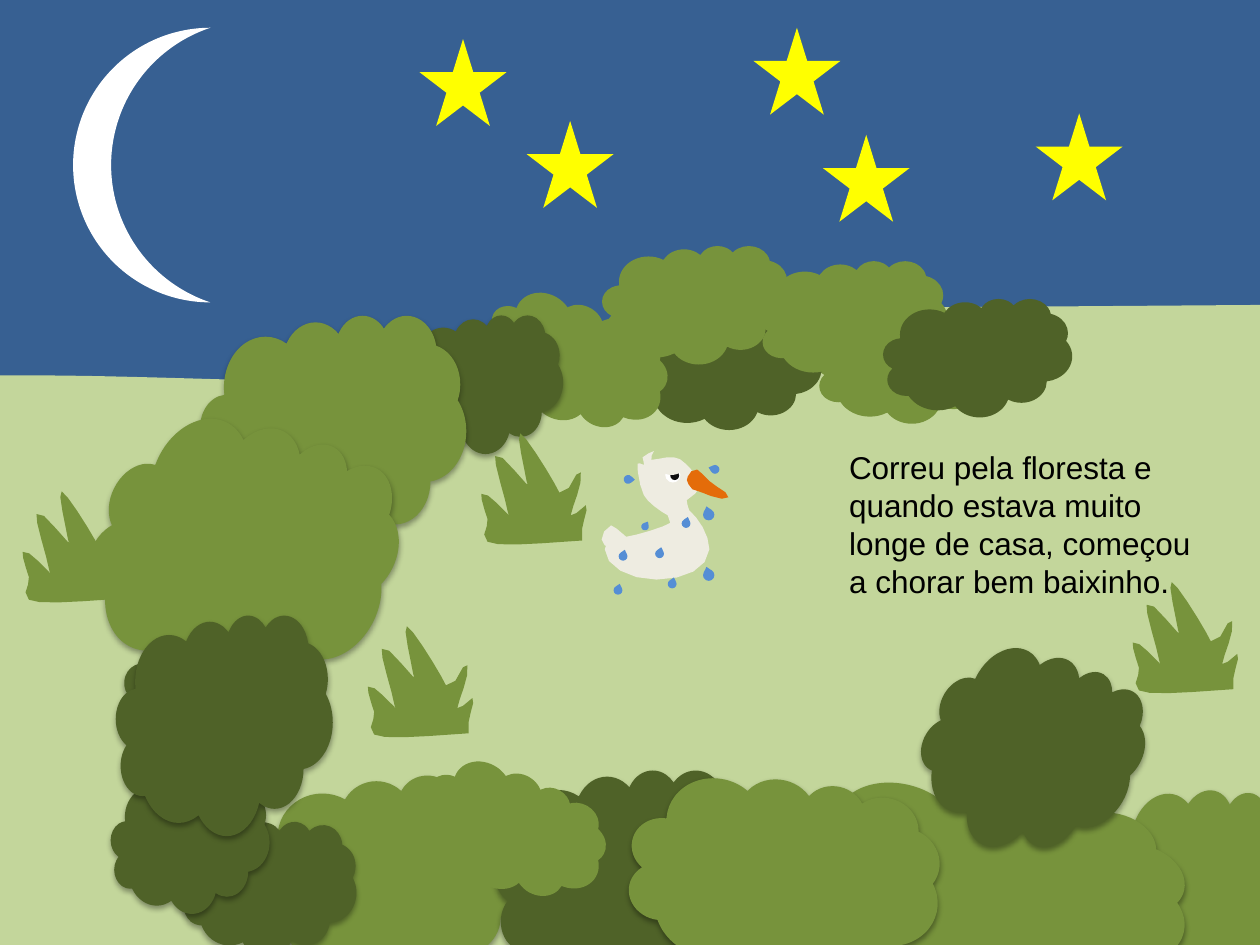
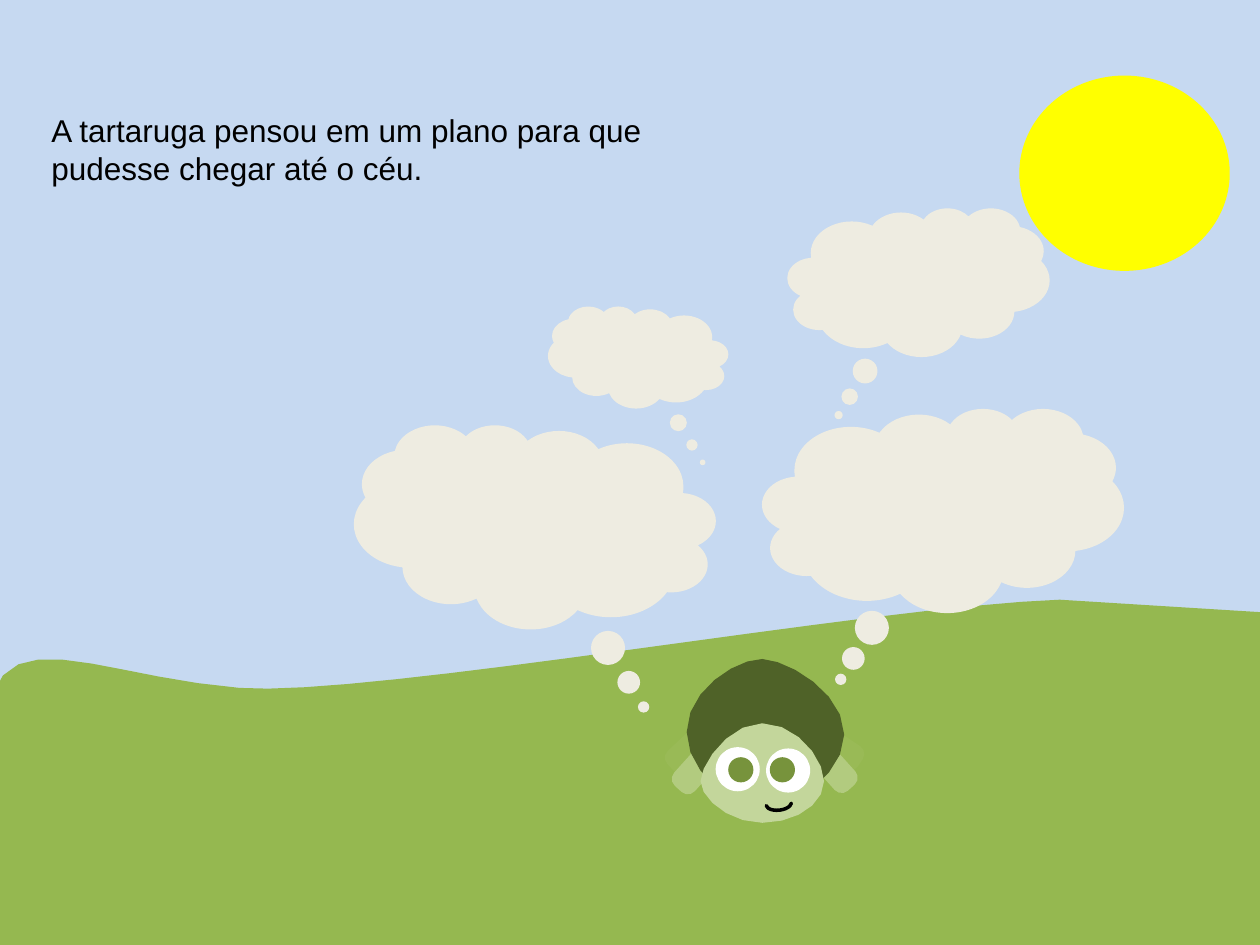
from dataclasses import dataclass
from math import dist, sqrt

from lxml.etree import SubElement
from pptx import Presentation
from pptx.dml.color import RGBColor
from pptx.enum.shapes import MSO_SHAPE
from pptx.enum.text import MSO_AUTO_SIZE
from pptx.oxml.ns import qn
from pptx.util import Emu, Inches, Pt

# Grid shared by the slides: 100 columns by 75 rows
SLIDE_WIDTH, SLIDE_HEIGHT = Inches(10), Inches(7.5)
COLUMN, ROW = SLIDE_WIDTH / 100, SLIDE_HEIGHT / 75
FONT_NAME, FONT_SIZE = "Arial", Pt(18)

# Colours
NIGHT = RGBColor(0x37, 0x60, 0x92)
DAY = RGBColor(0xC6, 0xD9, 0xF1)
YELLOW = RGBColor(0xFF, 0xFF, 0x00)
WHITE = RGBColor(0xFF, 0xFF, 0xFF)
BLACK = RGBColor(0x00, 0x00, 0x00)
PUPIL = RGBColor(0x0D, 0x0D, 0x0D)
PALE_GREEN = RGBColor(0xC3, 0xD6, 0x9B)
LEAF = RGBColor(0x77, 0x93, 0x3C)
DARK_LEAF = RGBColor(0x4F, 0x62, 0x28)
HILL = RGBColor(0x95, 0xB8, 0x50)
BACK_FOOT = RGBColor(0x99, 0xBA, 0x56)
FRONT_FOOT = RGBColor(0xB2, 0xCB, 0x7F)
CREAM = RGBColor(0xEE, 0xEC, 0xE1)
ORANGE = RGBColor(0xE4, 0x6C, 0x0A)
TEAR_BLUE = RGBColor(0x55, 0x8E, 0xD5)
MOUTH_BLUE = RGBColor(0x4F, 0x81, 0xBD)


@dataclass(frozen=True)
class Piece:
    """A preset shape placed on the grid."""
    preset: MSO_SHAPE
    left: float
    top: float
    width: float
    height: float
    color: RGBColor
    rotation: float = 0
    adjustments: tuple = ()
    flipped: bool = False
    shadowed: bool = False


@dataclass(frozen=True)
class Outline:
    """A closed path: pairs are line ends, sextuples are cubic curves."""
    start: tuple
    segments: tuple
    color: RGBColor
    rotation: float = 0


@dataclass(frozen=True)
class Story:
    left: float
    top: float
    width: float
    height: float
    text: str


def paint(shape, color: RGBColor, rotation: float) -> None:
    shape.fill.solid()
    shape.fill.fore_color.rgb = color
    shape.line.fill.background()
    shape.shadow.inherit = False
    shape.rotation = rotation


def add_soft_shadow(shape) -> None:
    effects = shape._element.spPr.find(qn("a:effectLst"))
    shadow = SubElement(effects, qn("a:outerShdw"), blurRad="40000", dist="23000",
                        dir="5400000", rotWithShape="0")
    color = SubElement(shadow, qn("a:srgbClr"), val=str(BLACK))
    SubElement(color, qn("a:alpha"), val="35000")


def draw_piece(shapes, piece: Piece):
    shape = shapes.add_shape(piece.preset, Emu(round(piece.left * COLUMN)),
                             Emu(round(piece.top * ROW)),
                             Emu(round(piece.width * COLUMN)),
                             Emu(round(piece.height * ROW)))
    paint(shape, piece.color, piece.rotation)
    for index, value in enumerate(piece.adjustments):
        shape.adjustments[index] = value
    if piece.flipped:
        shape._element.spPr.xfrm.set("flipH", "1")
    if piece.shadowed:
        add_soft_shadow(shape)
    return shape


def outline_points(outline: Outline) -> list[tuple[float, float]]:
    points = [outline.start]
    for segment in outline.segments:
        if len(segment) == 2:
            points.append(segment)
            continue
        controls = (*points[-1], *segment)
        # Longer curves get more steps
        steps = max(2, round(2 * sqrt(dist(points[-1], segment[4:]))))
        for step in range(1, steps + 1):
            t = step / steps
            weights = ((1 - t) ** 3, 3 * t * (1 - t) ** 2, 3 * t * t * (1 - t), t ** 3)
            points.append(tuple(sum(weight * value for weight, value
                                    in zip(weights, controls[axis::2]))
                                for axis in (0, 1)))
    return points


def draw_outline(shapes, outline: Outline, shift_x: float = 0, shift_y: float = 0):
    points = [((x + shift_x) * COLUMN, (y + shift_y) * ROW)
              for x, y in outline_points(outline)]
    builder = shapes.build_freeform(*points[0])
    builder.add_line_segments(points[1:], close=True)
    shape = builder.convert_to_shape()
    paint(shape, outline.color, outline.rotation)
    return shape


def draw_story(slide, story: Story) -> None:
    box = slide.shapes.add_textbox(Emu(round(story.left * COLUMN)),
                                   Emu(round(story.top * ROW)),
                                   Emu(round(story.width * COLUMN)),
                                   Emu(round(story.height * ROW)))
    frame = box.text_frame
    frame.word_wrap = True
    frame.auto_size = MSO_AUTO_SIZE.SHAPE_TO_FIT_TEXT
    frame.text = story.text
    font = frame.paragraphs[0].runs[0].font
    font.name, font.size, font.color.rgb = FONT_NAME, FONT_SIZE, BLACK


def add_scene(presentation, sky: RGBColor):
    slide = presentation.slides.add_slide(presentation.slide_layouts[6])
    slide.background.fill.solid()
    slide.background.fill.fore_color.rgb = sky
    return slide


# Night scene: sky and meadow
STAR_SIZE = 6.9
STAR_CORNERS = ((33.3, 3.1), (41.8, 9.6), (59.8, 2.2), (65.3, 10.7), (82.2, 9))
MOON = Piece(MSO_SHAPE.MOON, 5.8, 2.2, 10.9, 21.8, WHITE, adjustments=(0.277,))
MEADOW = Outline((0, 29.8), (
    (9.1, 29.7, 19.4, 30.3, 28.5, 30.3), (38.6, 29.3, 48.8, 25.4, 58.9, 24.5),
    (100, 24.2), (100, 75), (0, 75)), PALE_GREEN)

# Bushes, back to front: left, top, width, height, rotation, colour, shadowed
BUSHES = (
    (64.7, 24.2, 15, 9.4, 0, LEAF, False),
    (50.2, 24.7, 15, 9.4, 0, DARK_LEAF, False),
    (60.2, 20.7, 15, 9.4, 0, LEAF, False),
    (47.8, 19.5, 15, 9.4, 0, LEAF, False),
    (70.1, 23.7, 15, 9.4, 0, DARK_LEAF, False),
    (38.1, 24.1, 15, 9.4, 29.3, LEAF, False),
    (20, 61.5, 22.8, 16.2, 0, LEAF, True),
    (39.3, 61.1, 20.5, 17.6, 0, DARK_LEAF, True),
    (87.5, 62.3, 16.5, 16.5, 12.8, LEAF, True),
    (32.1, 25, 12.6, 11, 0, DARK_LEAF, True),
    (15.9, 25, 21.1, 18.9, 0, LEAF, True),
    (9.8, 49.6, 13.8, 11, 6.4, DARK_LEAF, True),
    (62.6, 62.4, 31.7, 16.5, 12.8, LEAF, True),
    (73.6, 51.4, 16.5, 16.5, 30.5, DARK_LEAF, True),
    (49.8, 61.6, 24.8, 16.5, 12.8, LEAF, True),
    (7.6, 33.1, 23.1, 22.7, 26.3, LEAF, True),
    (14.5, 65, 13.8, 11, 6.4, DARK_LEAF, True),
    (33.2, 61.3, 15, 9.4, 29.3, LEAF, False),
    (8.8, 61.5, 12.6, 11, 0, DARK_LEAF, True),
    (9.2, 48.8, 17.2, 17.5, 0, DARK_LEAF, True),
)

# Grass: one tuft, repeated by shifting
TUFT = Outline((41.3, 34.4), (
    (41.8, 34.6, 44.1, 38.4, 44.4, 39.1), (45.2, 39.6, 45.9, 36.7, 46.1, 37.5),
    (46.3, 38.4, 45.4, 40.2, 45.3, 40.9), (45.2, 41.6, 46.2, 40, 46.5, 40.1),
    (46.8, 40.1, 46.2, 41.6, 46.2, 42), (46.2, 42.9),
    (44.5, 43, 39.3, 43.5, 38.7, 43), (38, 42.5, 38.9, 41.7, 38.7, 41.2),
    (38.5, 40.6, 38.1, 39.4, 38.2, 39.2), (38.4, 38.9, 39, 39.6, 39.4, 39.9),
    (39.7, 40.1, 40.1, 40.7, 40.3, 40.8), (40.4, 40.9, 40.5, 41.3, 40.3, 40.6),
    (40.2, 39.8, 39.1, 36.5, 39.3, 36.2), (39.7, 35.5, 42, 39.1, 42.3, 38.7),
    (41.9, 38.5), (41.8, 38.2),
    (41.7, 37.5, 40.9, 34.3, 41.3, 34.4)), LEAF)
TUFT_SHIFTS = ((0, 0), (51.7, 11.8), (-9, 15.3), (-36.4, 4.6))

# Duck
DUCK_BODY = Outline((51.9, 35.8), (
    (51.9, 35.8, 51.1, 36.1, 51, 36.3), (50.9, 36.5, 51.3, 36.9, 51.1, 36.9),
    (50.9, 37, 50.6, 36.5, 50.6, 36.8), (50.5, 37, 50.8, 38.8, 51.1, 39.3),
    (51.3, 39.7, 51.9, 40.2, 52.5, 40.6), (52.4, 40.6, 53.7, 41.1, 53.2, 41.5),
    (52.8, 41.8, 50.5, 42.5, 49.7, 42.6), (48.9, 42.6, 48.9, 41.2, 48.5, 41.7),
    (47.8, 42, 47.5, 43, 48, 43.3), (48.1, 43.3), (48, 43.6),
    (48, 44.9, 49.9, 46, 52.1, 46),
    (54.4, 46, 56.2, 45.1, 56.3, 43.6), (56.3, 42.4, 55.4, 41.1, 54.7, 40.5),
    (54.6, 40.2, 54.5, 39.9, 54.5, 39.7), (54.9, 39.4, 55.5, 39, 55.6, 38.6),
    (55.6, 38.2, 55.1, 37.6, 54.8, 37.2), (54.4, 36.8, 54, 36.3, 53.5, 36.3),
    (53, 36.2, 52.1, 36.5, 51.7, 36.5), (51.4, 36.5, 52, 35.8, 51.9, 35.8)), CREAM)
DUCK_EYE = (Piece(MSO_SHAPE.OVAL, 52.8, 37.1, 1.2, 1.2, WHITE),
            Piece(MSO_SHAPE.OVAL, 53.2, 37.4, 0.7, 0.7, PUPIL))
DUCK_BEAK = Outline((54.5, 38.2), (
    (54.5, 37.9, 54.8, 37.5, 55.1, 37.5), (55.4, 37.5, 55.8, 38, 56.3, 38.2),
    (56.7, 38.5, 58.1, 38.7, 58, 39.1), (57.9, 39.5, 56.4, 39.3, 55.9, 39.2),
    (55.3, 39.2, 54.7, 39.1, 54.7, 38.8), (54.5, 38.6, 54.4, 38.4, 54.5, 38.2)),
    ORANGE, 12.9)
DUCK_EYELID = Piece(MSO_SHAPE.OVAL, 52.4, 36.4, 1.8, 1.3, CREAM)

# Tears: left, top, size, rotation
TEARS = (
    (50.9, 41.5, 0.6, 345), (48.7, 46.5, 0.7, 330), (55.8, 45.2, 0.9, 300),
    (55.8, 40.4, 0.9, 300), (54.1, 41.2, 0.7, 330), (53, 46, 0.7, 330),
    (49.1, 43.8, 0.7, 330), (52, 43.6, 0.7, 330), (56.4, 36.9, 0.7, 241.3),
    (49.5, 37.7, 0.7, 47.6),
)
NIGHT_STORY = Story(66.4, 35.1, 29.3, 13.1, "Correu pela floresta e quando estava muito "
                    "longe de casa, começou a chorar bem baixinho.")

# Day scene: hill, turtle, thoughts and sun
HILLSIDE = Outline((-0.6, 55.1), (
    (1.3, 49.6, 8.8, 53.8, 19, 54.6), (29.3, 55.4, 69.4, 48.1, 84.1, 47.6),
    (100.2, 48.6), (100, 75), (0, 75)), HILL)
# Feet: left, top, rotation, flipped, colour
FEET = ((64.8, 58.4, 33.5, True, BACK_FOOT), (52.7, 58.5, 316.8, False, BACK_FOOT),
        (64.4, 60, 48.1, True, FRONT_FOOT), (53.2, 60.1, 311.9, False, FRONT_FOOT))
TURTLE_SHELL = Outline((54.5, 58.1), (
    (54.5, 54.8, 58.4, 52.3, 60.5, 52.3), (62.6, 52.4, 67, 55, 67, 58.3),
    (67, 61.6, 62.6, 64.3, 60.5, 64.2), (58.4, 64.2, 54.5, 61.4, 54.5, 58.1)), DARK_LEAF)
TURTLE_HEAD = Outline((55.6, 62), (
    (55.6, 60.7, 57.8, 57.4, 60.5, 57.4), (63.2, 57.4, 65.4, 60.2, 65.4, 62),
    (65.4, 63.8, 63.2, 65.3, 60.5, 65.3), (57.8, 65.3, 55.6, 63.3, 55.6, 62)), PALE_GREEN)
# Eyes: left, top, size, colour
TURTLE_EYES = ((56.8, 59.3, 3.5, WHITE), (60.8, 59.4, 3.5, WHITE),
               (57.8, 60.1, 2, LEAF), (61.1, 60.1, 2, LEAF))
MOUTH = Piece(MSO_SHAPE.BLOCK_ARC, 60.8, 63.3, 2, 1, MOUTH_BLUE, 173.8,
              (110.409, 214.966, 0))
# Thoughts: left, top, width, height, pointer, flipped
THOUGHTS = (
    (60.5, 32.4, 28.7, 16.2, (-0.283, 0.828), False),
    (28.1, 33.7, 28.7, 16.2, (-0.301, 0.883), True),
    (43.5, 24.3, 14.3, 8.1, (-0.358, 1.031), True),
    (62.5, 16.5, 20.8, 11.8, (-0.305, 0.894), False),
)
SUN = Piece(MSO_SHAPE.OVAL, 80.9, 6, 16.7, 15.5, YELLOW)
DAY_STORY = Story(3.1, 8.3, 50, 7.1, "A tartaruga pensou em um plano para que "
                  "pudesse chegar até o céu.")


def build_night(presentation) -> None:
    slide = add_scene(presentation, NIGHT)
    shapes = slide.shapes
    for left, top in STAR_CORNERS:
        draw_piece(shapes, Piece(MSO_SHAPE.STAR_5_POINT, left, top,
                                 STAR_SIZE, STAR_SIZE, YELLOW))
    draw_piece(shapes, MOON)
    draw_outline(shapes, MEADOW)
    for left, top, width, height, rotation, color, shadowed in BUSHES:
        draw_piece(shapes, Piece(MSO_SHAPE.CLOUD, left, top, width, height, color,
                                 rotation, shadowed=shadowed))
    for shift in TUFT_SHIFTS:
        draw_outline(shapes, TUFT, *shift)
    duck = shapes.add_group_shape().shapes
    draw_outline(duck, DUCK_BODY)
    for piece in DUCK_EYE:
        draw_piece(duck, piece)
    draw_outline(duck, DUCK_BEAK)
    draw_piece(duck, DUCK_EYELID)
    tears = shapes.add_group_shape().shapes
    for left, top, size, rotation in TEARS:
        draw_piece(tears, Piece(MSO_SHAPE.TEAR, left, top, size, size, TEAR_BLUE,
                                rotation, (1.081,)))
    draw_story(slide, NIGHT_STORY)


def build_day(presentation) -> None:
    slide = add_scene(presentation, DAY)
    shapes = slide.shapes
    draw_outline(shapes, HILLSIDE)
    turtle = shapes.add_group_shape().shapes
    for left, top, rotation, flipped, color in FEET:
        draw_piece(turtle, Piece(MSO_SHAPE.ROUNDED_RECTANGLE, left, top, 3.8, 2.2, color,
                                 rotation, (0.338,), flipped))
    draw_outline(turtle, TURTLE_SHELL)
    draw_outline(turtle, TURTLE_HEAD)
    for left, top, size, color in TURTLE_EYES:
        draw_piece(turtle, Piece(MSO_SHAPE.OVAL, left, top, size, size, color))
    mouth = draw_piece(turtle, MOUTH)
    mouth.line.color.rgb = BLACK
    mouth.line.width = Pt(2)
    for left, top, width, height, pointer, flipped in THOUGHTS:
        draw_piece(shapes, Piece(MSO_SHAPE.CLOUD_CALLOUT, left, top, width, height, CREAM,
                                 adjustments=pointer, flipped=flipped))
    draw_story(slide, DAY_STORY)
    draw_piece(shapes, SUN)


def main() -> None:
    presentation = Presentation()
    presentation.slide_width, presentation.slide_height = SLIDE_WIDTH, SLIDE_HEIGHT
    build_night(presentation)
    build_day(presentation)
    presentation.save("out.pptx")


if __name__ == "__main__":
    main()
